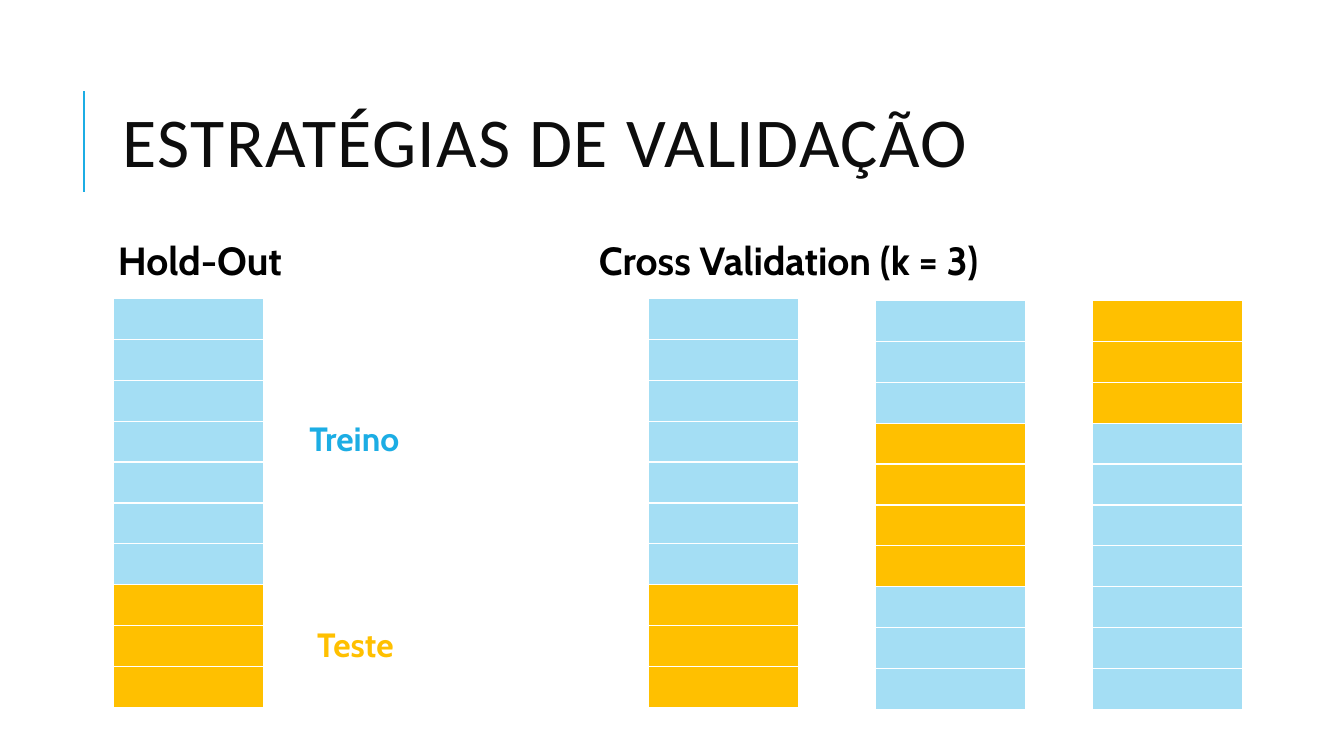
from lxml import etree
from pptx import Presentation
from pptx.dml.color import RGBColor
from pptx.enum.shapes import MSO_CONNECTOR
from pptx.enum.text import MSO_ANCHOR, PP_ALIGN
from pptx.oxml.ns import qn
from pptx.util import Inches, Pt

STRAIGHT = MSO_CONNECTOR.STRAIGHT
TOP, MIDDLE = MSO_ANCHOR.TOP, MSO_ANCHOR.MIDDLE
LEFT, CENTER = PP_ALIGN.LEFT, PP_ALIGN.CENTER

COLORS = {"ink": "0D0D0D", "black": "000000", "accent": "1CADE4",
          "train": "A4DEF4", "test": "FFC000", "border": "FFFFFF"}

SLIDE_W, SLIDE_H = 13.33, 7.5
MARGIN = 1.12
FOLDS = 10
ROW_H, COLUMN_W = 0.41, 1.49
LABEL_W, LABEL_H = 1.11, 0.5
HEADING_H = 0.55

TITLE_FONT = {"name": "Calibri", "size": Pt(50), "bold": False}
HEADING_FONT = {"name": "Cabin", "size": Pt(28), "bold": True}
LABEL_FONT = {"name": "Cabin", "size": Pt(24), "bold": True}


def rgb(color):
    return RGBColor.from_string(COLORS[color])


def add_text(slide, box, text, font_format, color, align=LEFT, anchor=TOP,
             inset=0.1, line_spacing=1.0):
    frame = slide.shapes.add_textbox(*map(Inches, box)).text_frame
    frame_format = {"word_wrap": True, "vertical_anchor": anchor,
                    "margin_left": Inches(inset), "margin_right": Inches(inset),
                    "margin_top": Inches(0.05), "margin_bottom": Inches(0.05)}
    for name, value in frame_format.items():
        setattr(frame, name, value)
    paragraph = frame.paragraphs[0]
    paragraph.alignment = align
    paragraph.line_spacing = line_spacing
    run = paragraph.add_run()
    run.text = text
    for name, value in font_format.items():
        setattr(run.font, name, value)
    run.font.color.rgb = rgb(color)
    return run


def add_title(slide, box):
    left, top, width, height = box
    # Accent rule beside the title
    rule_x = left - 0.29
    rule = slide.shapes.add_connector(
        STRAIGHT, *map(Inches, (rule_x, top + 1.26, rule_x, top + 0.26)))
    rule.line.color.rgb = rgb("accent")
    rule.line.width = Pt(1.5)
    etree.SubElement(rule._element.spPr, qn("a:effectLst"))
    # Title with letter spacing of one point
    title = add_text(slide, box, "ESTRATÉGIAS DE VALIDAÇÃO", TITLE_FONT, "ink",
                     anchor=MIDDLE, line_spacing=0.8)
    title.font._element.set("spc", "100")


def add_heading(slide, left, top, text):
    add_text(slide, (left, top, SLIDE_W / 2 - MARGIN, HEADING_H), text,
             HEADING_FONT, "black", inset=0.05, line_spacing=0.9)


def add_cell_borders(cell):
    properties = cell._tc.get_or_add_tcPr()
    for side in ("a:lnL", "a:lnR", "a:lnT", "a:lnB"):
        border = etree.SubElement(properties, qn(side), w=str(Pt(1)))
        fill = etree.SubElement(border, qn("a:solidFill"))
        etree.SubElement(fill, qn("a:srgbClr"), val=COLORS["border"])


def add_data_column(slide, left, top, test_rows):
    table = slide.shapes.add_table(
        FOLDS, 1, *map(Inches, (left, top, COLUMN_W, FOLDS * ROW_H))).table
    table.first_row = table.horz_banding = False
    for index, row in enumerate(table.rows):
        row.height = Inches(4.06 / FOLDS)
        cell = row.cells[0]
        cell.margin_top = cell.margin_bottom = 0
        add_cell_borders(cell)
        cell.fill.solid()
        cell.fill.fore_color.rgb = rgb("test" if index in test_rows else "train")


def add_hold_out(slide, left, top):
    add_heading(slide, left, top, "Hold-Out")
    add_data_column(slide, left, top + 0.61, range(7, 10))
    # Labels of the two parts
    label_x = left + COLUMN_W + 0.36
    for text, drop, color, align in (("Treino", 1.75, "accent", LEFT),
                                     ("Teste", 3.79, "test", CENTER)):
        add_text(slide, (label_x, top + drop, LABEL_W, LABEL_H), text,
                 LABEL_FONT, color, align)


def add_cross_validation(slide, left, top):
    add_heading(slide, left, top, "Cross Validation (k = 3)")
    # One column per round, each with another test block
    for shift, drop, test_rows in ((0.54, 0.61, range(7, 10)),
                                   (2.79, 0.63, range(3, 7)),
                                   (4.94, 0.63, range(0, 3))):
        add_data_column(slide, left + shift, top + drop, test_rows)


def main():
    deck = Presentation()
    deck.slide_width, deck.slide_height = Inches(SLIDE_W), Inches(SLIDE_H)
    slide = deck.slides.add_slide(deck.slide_layouts[6])
    add_title(slide, (MARGIN, 0.64, 10.63, 1.64))
    add_hold_out(slide, MARGIN, 2.35)
    add_cross_validation(slide, 5.89, 2.35)
    deck.save("out.pptx")


if __name__ == "__main__":
    main()
